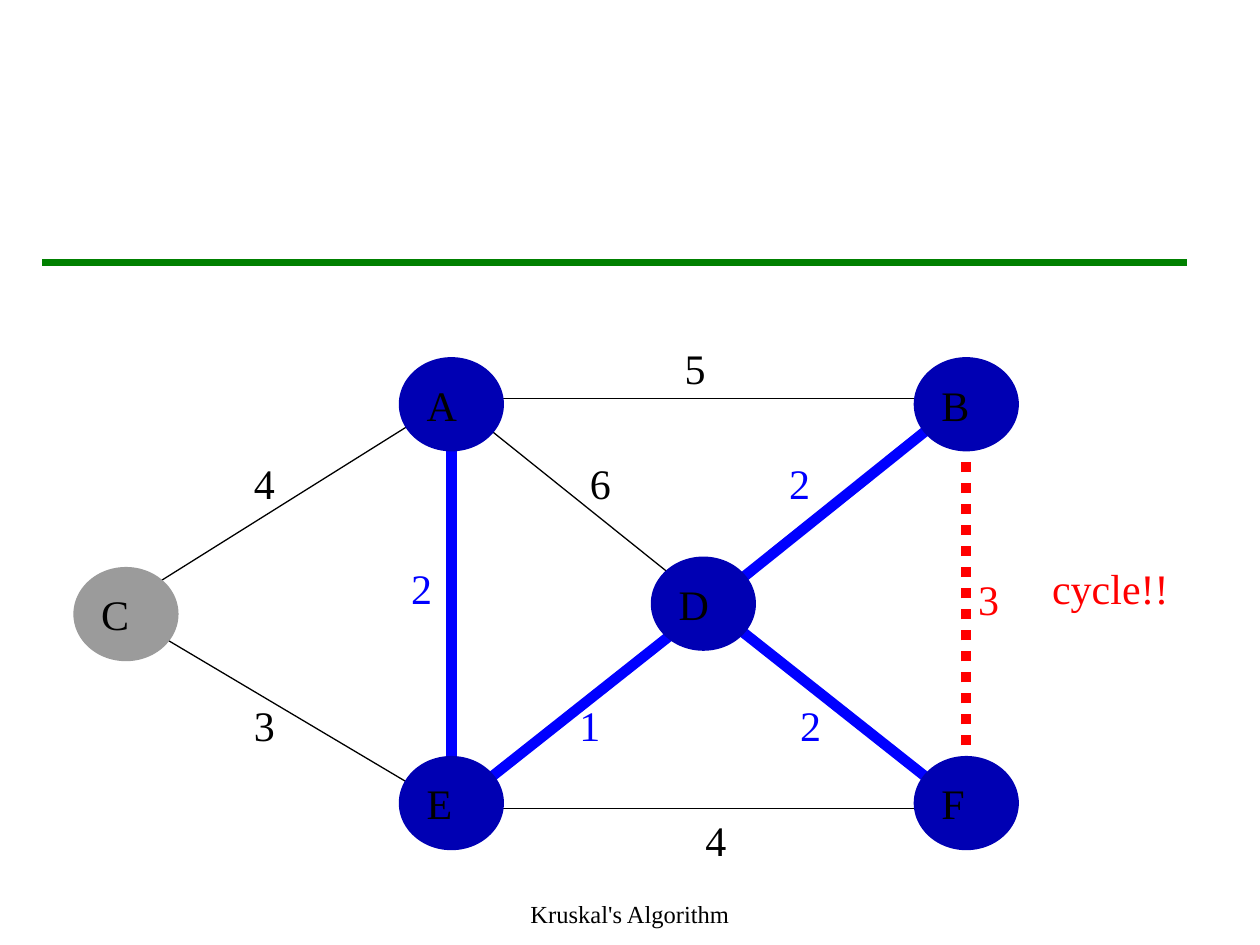
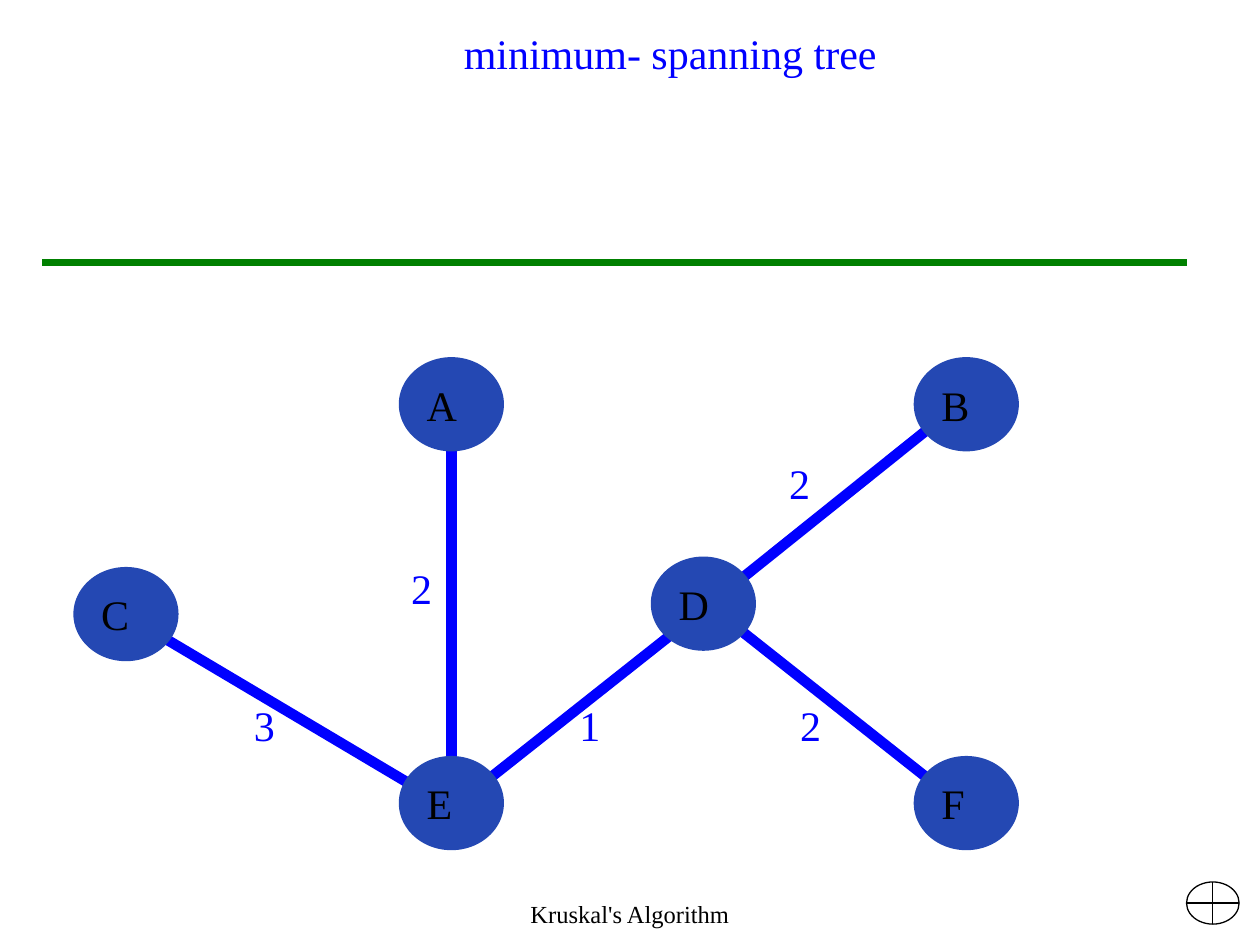
from lxml.etree import SubElement
from pptx import Presentation
from pptx.dml.color import RGBColor
from pptx.enum.dml import MSO_LINE
from pptx.enum.shapes import MSO_CONNECTOR, MSO_SHAPE
from pptx.enum.text import MSO_ANCHOR, PP_ALIGN
from pptx.oxml.ns import qn
from pptx.util import Cm, Pt

FONT = "Times New Roman"
BLACK = RGBColor(0x00, 0x00, 0x00)
GREEN = RGBColor(0x00, 0x80, 0x00)
BLUE = RGBColor(0x00, 0x00, 0xFF)
RED = RGBColor(0xFF, 0x00, 0x00)
NAVY = RGBColor(0x00, 0x00, 0xB3)
STEEL = RGBColor(0x24, 0x48, 0xB3)
GREY = RGBColor(0x9B, 0x9B, 0x9B)

FOOTER = "Kruskal's Algorithm"
NODE_SIZE = (2.12, 1.9)
LABEL_SIZE = (1.27, 1.27)

# Lengths are in centimetres.
NODES = {  # name: left, top
    "C": (1.48, 11.43),
    "F": (18.42, 15.24),
    "E": (8.04, 15.24),
    "A": (8.04, 7.2),
    "B": (18.42, 7.2),
    "D": (13.12, 11.22),
}
HUBS = {  # points where edges meet, under the nodes
    "A": (9.1, 8.04),
    "B": (19.47, 8.04),
    "C": (2.33, 12.28),
    "D": (14.18, 12.28),
    "D right": (14.39, 12.28),
    "E": (9.1, 16.3),
    "F": (19.47, 16.3),
}
EDGES = {  # name: start, end, weight, left and top of the weight
    "EF": ("E", "F", "4", (13.97, 16.3)),
    "FB": ("F", "B", "3", (19.47, 11.43)),
    "BA": ("B", "A", "5", (13.55, 6.77)),
    "AE": ("A", "E", "2", (8.04, 11.22)),
    "DF": ("D right", "F", "2", (15.88, 13.97)),
    "AD": ("A", "D right", "6", (11.64, 9.1)),
    "DE": ("D", "E", "1", (11.43, 13.97)),
    "DB": ("D", "B", "2", (15.66, 9.1)),
    "CA": ("C", "A", "4", (4.87, 9.1)),
    "CE": ("C", "E", "3", (4.87, 13.97)),
}
STYLES = {  # kind of edge: colour, line width, dash
    "plain": (BLACK, 0.75, None),
    "tree": (BLUE, 6, None),
    "cycle": (RED, 6, MSO_LINE.ROUND_DOT),
}
SLIDES = [
    {
        "edges": {"EF": "plain", "FB": "cycle", "BA": "plain", "AE": "tree", "DF": "tree",
                  "AD": "plain", "DE": "tree", "DB": "tree", "CA": "plain", "CE": "plain"},
        "node_fill": NAVY,
        "unreached": "C",
        "note": ("cycle!!", (20.96, 11.22), (2.85, 1.27), RED),
        "end_mark": False,
    },
    {
        "edges": dict.fromkeys(["AE", "DF", "DE", "DB", "CE"], "tree"),
        "node_fill": STEEL,
        "unreached": None,
        "note": ("minimum- spanning tree", (9.1, 0.42), (11.43, 1.3), BLUE),
        "end_mark": True,
    },
]


def lengths(*values):
    return [Cm(value) for value in values]


def write(shape, text, size=24, color=BLACK, align=PP_ALIGN.LEFT, anchor=MSO_ANCHOR.TOP):
    frame = shape.text_frame
    frame.word_wrap = True
    frame.vertical_anchor = anchor
    para = frame.paragraphs[0]
    para.alignment = align
    span = para.add_run()
    span.text = text
    span.font.name = FONT
    span.font.size = Pt(size)
    span.font.color.rgb = color


def add_text(page, text, place, extent, **style):
    write(page.shapes.add_textbox(*lengths(*place, *extent)), text, **style)


def add_line(page, start, end, color, width, dash=None):
    line = page.shapes.add_connector(MSO_CONNECTOR.STRAIGHT, *lengths(*start, *end))
    line.line.color.rgb = color
    line.line.width = Pt(width)
    if dash:
        line.line.dash_style = dash
    SubElement(line._element.spPr, qn("a:effectLst"))


def add_node(page, name, fill):
    node = page.shapes.add_shape(MSO_SHAPE.OVAL, *lengths(*NODES[name], *NODE_SIZE))
    node.shadow.inherit = False
    node.fill.solid()
    node.fill.fore_color.rgb = fill
    node.line.fill.background()
    write(node, name, anchor=MSO_ANCHOR.MIDDLE)


def add_end_mark(page):
    mark = page.shapes.add_shape(MSO_SHAPE.FLOWCHART_OR, *lengths(23.92, 17.78, 1.06, 0.85))
    mark.shadow.inherit = False
    mark.fill.background()
    mark.line.color.rgb = BLACK
    mark.line.width = Pt(0.75)


def add_graph_slide(deck, content):
    page = deck.slides.add_slide(deck.slide_layouts[6])
    add_line(page, (0.85, 5.29), (23.92, 5.29), GREEN, 4)
    add_text(page, FOOTER, (8.68, 17.57), (8.04, 1.27), size=14,
             align=PP_ALIGN.CENTER, anchor=MSO_ANCHOR.BOTTOM)
    for edge, kind in content["edges"].items():
        start, end, _, _ = EDGES[edge]
        add_line(page, HUBS[start], HUBS[end], *STYLES[kind])
    for name in NODES:
        add_node(page, name, GREY if name == content["unreached"] else content["node_fill"])
    for edge, kind in content["edges"].items():
        _, _, weight, place = EDGES[edge]
        add_text(page, weight, place, LABEL_SIZE, color=STYLES[kind][0])
    note, place, extent, color = content["note"]
    add_text(page, note, place, extent, color=color)
    if content["end_mark"]:
        add_end_mark(page)


def main():
    deck = Presentation()
    deck.slide_width, deck.slide_height = lengths(25.4, 19.05)
    for content in SLIDES:
        add_graph_slide(deck, content)
    deck.save("out.pptx")


if __name__ == "__main__":
    main()
